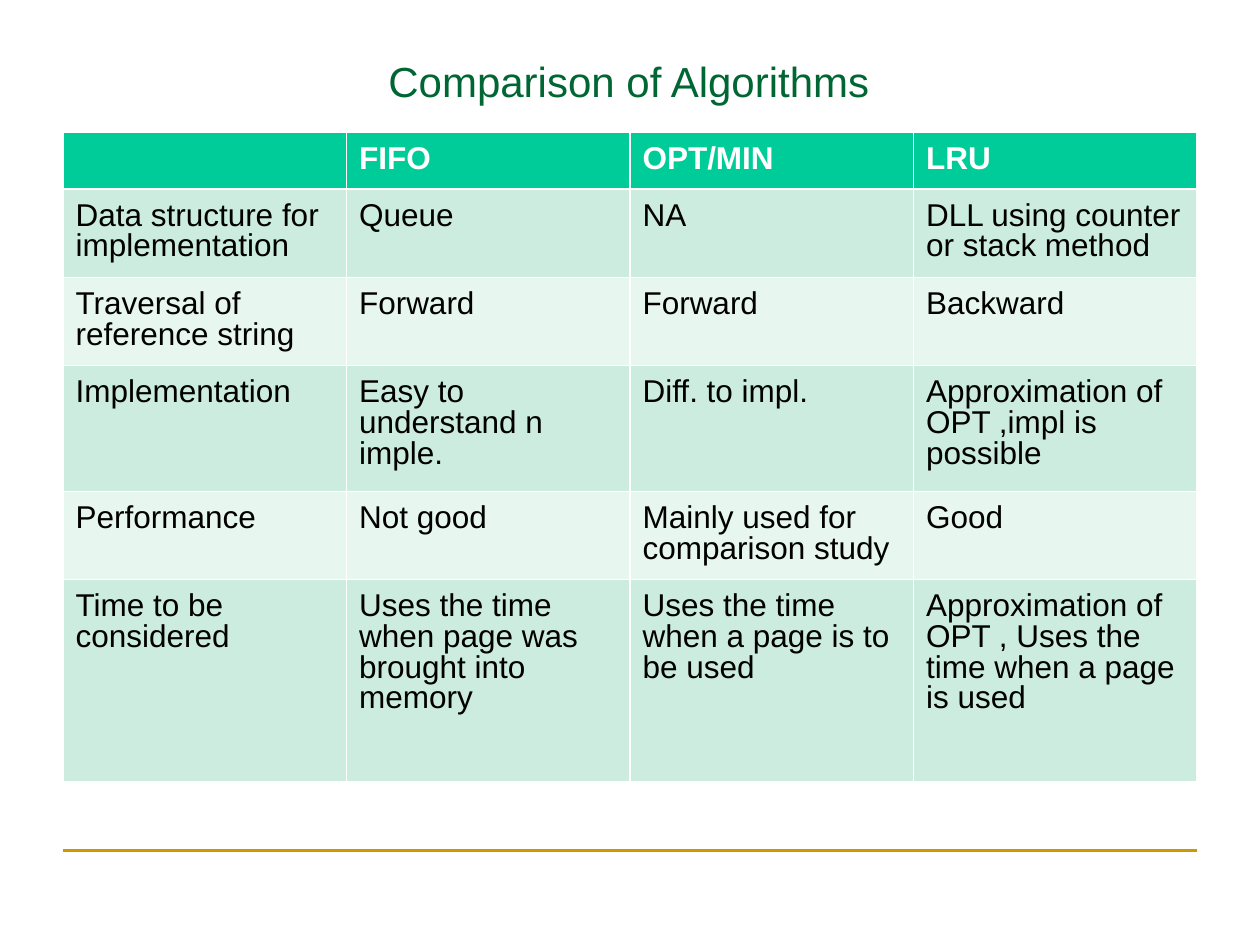
"""Build a slide that compares page replacement algorithms in a table."""
from lxml.etree import SubElement
from pptx import Presentation
from pptx.dml.color import RGBColor
from pptx.enum.shapes import MSO_CONNECTOR as Connector
from pptx.enum.text import PP_ALIGN as Align
from pptx.oxml.ns import qn
from pptx.util import Inches, Pt

TITLE = "Comparison of Algorithms"
ROWS = [
    ("", "FIFO", "OPT/MIN", "LRU"),
    ("Data structure for implementation", "Queue", "NA",
     "DLL using counter or stack method"),
    ("Traversal of reference string", "Forward", "Forward", "Backward"),
    ("Implementation", "Easy to understand n imple.", "Diff. to impl.",
     "Approximation of OPT ,impl is possible"),
    ("Performance", "Not good", "Mainly used for comparison study", "Good"),
    ("Time to be considered", "Uses the time when page was brought into memory",
     "Uses the time when a page is to be used",
     "Approximation of OPT , Uses the time when a page is used"),
]
ROW_HEIGHTS = [0.43, 0.7, 0.7, 1, 0.7, 1.6]
LEFT, TABLE_TOP, WIDTH, RULE_TOP = 0.5, 1.05, 9, 6.75
FONT = "Arial"
COLORS = {
    "title": "006633", "rule": "CC9900", "header": "00CC99",
    "odd": "CBECDE", "even": "E7F6EF", "white": "FFFFFF", "text": "000000",
}


def color(name):
    return RGBColor.from_string(COLORS[name])


def style_font(font, size, color_name, bold=False):
    font.name, font.size, font.bold = FONT, Pt(size), bold
    font.color.rgb = color(color_name)


def add_rule(slide):
    rule = slide.shapes.add_connector(
        Connector.STRAIGHT, Inches(LEFT), Inches(RULE_TOP),
        Inches(LEFT + WIDTH), Inches(RULE_TOP))
    rule.line.color.rgb = color("rule")
    rule.line.width = Pt(1.5)
    SubElement(rule._element.spPr, qn("a:effectLst"))


def add_title(slide):
    box = slide.shapes.add_textbox(
        Inches(LEFT), Inches(0.39), Inches(8.98), Inches(0.5))
    frame = box.text_frame
    frame.word_wrap = True
    frame.text = TITLE
    paragraph = frame.paragraphs[0]
    paragraph.alignment = Align.CENTER
    style_font(paragraph.runs[0].font, 24, "title")


def add_borders(cell):
    properties = cell._tc.get_or_add_tcPr()
    for side in ("lnL", "lnR", "lnT", "lnB"):
        border = SubElement(properties, qn(f"a:{side}"), w=str(Pt(0.75)))
        fill = SubElement(border, qn("a:solidFill"))
        SubElement(fill, qn("a:srgbClr"), val=COLORS["white"])


def fill_cell(cell, text, row_index):
    is_header = row_index == 0
    add_borders(cell)
    cell.fill.solid()
    band = "odd" if row_index % 2 else "even"
    cell.fill.fore_color.rgb = color("header" if is_header else band)
    cell.margin_left = cell.margin_right = cell.margin_top = Inches(0.1)
    cell.margin_bottom = Inches(0.05)
    cell.text_frame.text = text
    paragraph = cell.text_frame.paragraphs[0]
    paragraph.line_spacing = 0.87
    for run in paragraph.runs:
        style_font(run.font, 18, "white" if is_header else "text", is_header)


def add_comparison(slide):
    column_count = len(ROWS[0])
    table = slide.shapes.add_table(
        len(ROWS), column_count, Inches(LEFT), Inches(TABLE_TOP),
        Inches(WIDTH), Inches(sum(ROW_HEIGHTS))).table
    for column in table.columns:
        column.width = Inches(WIDTH / column_count)
    for row_index, (texts, height) in enumerate(zip(ROWS, ROW_HEIGHTS)):
        row = table.rows[row_index]
        row.height = Inches(height)
        for cell, text in zip(row.cells, texts):
            fill_cell(cell, text, row_index)


def main():
    presentation = Presentation()
    presentation.slide_width, presentation.slide_height = Inches(10), Inches(7.5)
    slide = presentation.slides.add_slide(presentation.slide_layouts[6])
    add_rule(slide)
    add_title(slide)
    add_comparison(slide)
    presentation.save("out.pptx")


if __name__ == "__main__":
    main()
